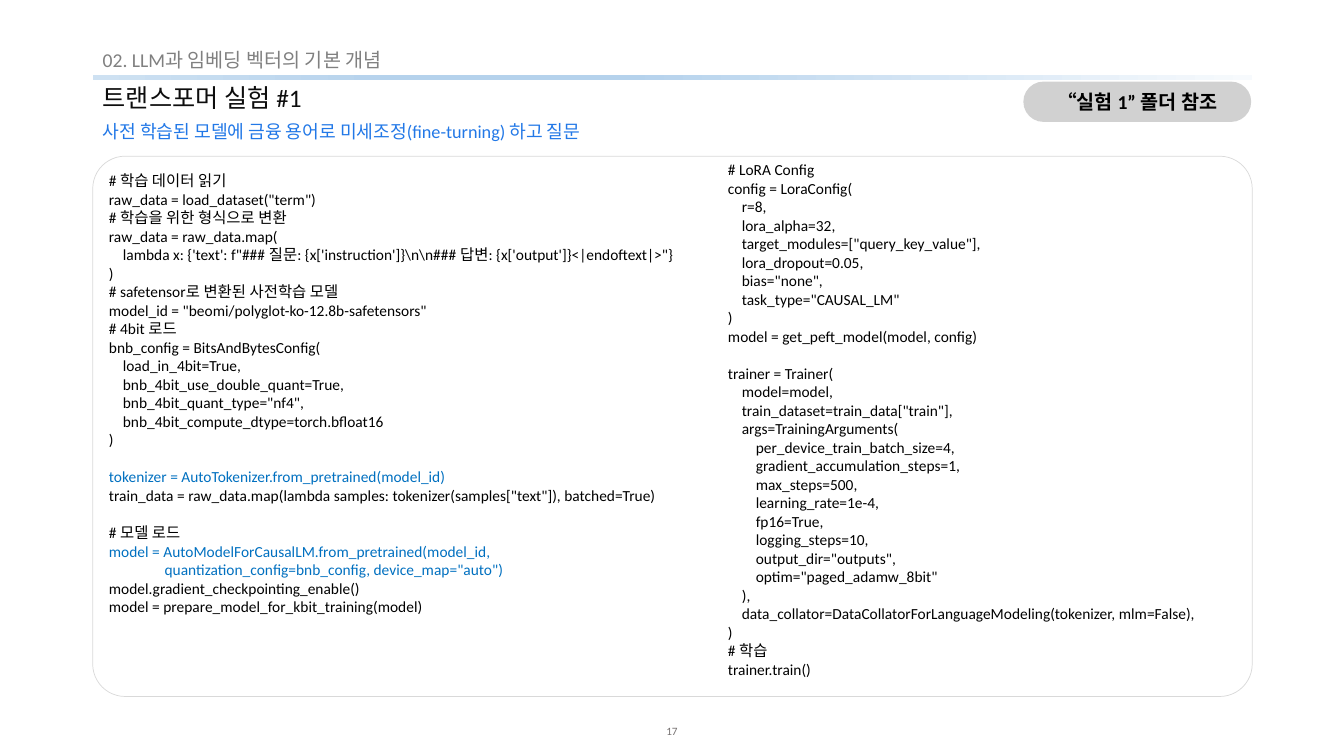
from lxml import etree
from pptx import Presentation
from pptx.dml.color import RGBColor
from pptx.enum.shapes import MSO_SHAPE
from pptx.enum.text import MSO_ANCHOR, PP_ALIGN
from pptx.oxml.ns import qn
from pptx.util import Inches, Pt

RECT, ROUNDED = MSO_SHAPE.RECTANGLE, MSO_SHAPE.ROUNDED_RECTANGLE
TOP, MIDDLE = MSO_ANCHOR.TOP, MSO_ANCHOR.MIDDLE
LEFT, CENTER = PP_ALIGN.LEFT, PP_ALIGN.CENTER

COLORS = {
    "title": "0D0D0D", "section": "808080", "subtitle": "2278E7",
    "code": "000000", "key_code": "0070C0", "page": "767171",
    "frame": "D9D9D9", "badge": "A5A5A5",
}
RULE_STOPS = [(0, "F7FAFD"), (54, "B5D2EC"), (73, "B5D2EC"), (100, "CEE1F2")]
MARGIN, CONTENT_WIDTH = 0.92, 11.5
CODE_SIZE, CODE_LINE = 11, 13.4
WIDE_INSETS = (0.1, 0.05, 0.1, 0.05)
CODE_INSETS = (0.04, 0.05, 0.04, 0.05)
KEY_LINES = ("tokenizer =", "model = AutoModel", "quantization_config")

DATA_AND_MODEL = r"""
# 학습 데이터 읽기
raw_data = load_dataset("term")
# 학습을 위한 형식으로 변환
raw_data = raw_data.map(
    lambda x: {'text': f"### 질문: {x['instruction']}\n\n### 답변: {x['output']}<|endoftext|>"}
)
# safetensor로 변환된 사전학습 모델
model_id = "beomi/polyglot-ko-12.8b-safetensors"
# 4bit 로드
bnb_config = BitsAndBytesConfig(
    load_in_4bit=True,
    bnb_4bit_use_double_quant=True,
    bnb_4bit_quant_type="nf4",
    bnb_4bit_compute_dtype=torch.bfloat16
)

tokenizer = AutoTokenizer.from_pretrained(model_id)
train_data = raw_data.map(lambda samples: tokenizer(samples["text"]), batched=True)

# 모델 로드
model = AutoModelForCausalLM.from_pretrained(model_id,
                quantization_config=bnb_config, device_map="auto")
model.gradient_checkpointing_enable()
model = prepare_model_for_kbit_training(model)
"""

LORA_AND_TRAINING = """
# LoRA Config
config = LoraConfig(
    r=8,
    lora_alpha=32,
    target_modules=["query_key_value"],
    lora_dropout=0.05,
    bias="none",
    task_type="CAUSAL_LM"
)
model = get_peft_model(model, config)

trainer = Trainer(
    model=model,
    train_dataset=train_data["train"],
    args=TrainingArguments(
        per_device_train_batch_size=4,
        gradient_accumulation_steps=1,
        max_steps=500,
        learning_rate=1e-4,
        fp16=True,
        logging_steps=10,
        output_dir="outputs",
        optim="paged_adamw_8bit"
    ),
    data_collator=DataCollatorForLanguageModeling(tokenizer, mlm=False),
)
# 학습
trainer.train()
"""


class SlideBuilder:
    font_name = "Calibri"

    def __init__(self, slide):
        self.slide = slide

    def shape(self, kind, box, fill=None, line=None, corner=None):
        shape = self.slide.shapes.add_shape(kind, *map(Inches, box))
        shape.shadow.inherit = False
        if corner is not None:
            shape.adjustments[0] = corner
        if fill:
            shape.fill.solid()
            shape.fill.fore_color.rgb = RGBColor.from_string(COLORS[fill])
        else:
            shape.fill.background()
        if line:
            shape.line.color.rgb = RGBColor.from_string(COLORS[line])
            shape.line.width = Pt(0.5)
        else:
            shape.line.fill.background()
        return shape

    def gradient_bar(self, box, stops, angle):
        bar = self.shape(RECT, box)
        bar.fill.gradient()
        bar.fill.gradient_angle = angle
        stop_list = next(bar._element.iter(qn("a:gsLst")))
        for stop in list(stop_list):
            stop_list.remove(stop)
        for percent, color in stops:
            stop = etree.SubElement(stop_list, qn("a:gs"), pos=str(percent * 1000))
            etree.SubElement(stop, qn("a:srgbClr"), val=color)

    def badge(self, box, words, size):
        badge = self.shape(ROUNDED, box, fill="badge", corner=0.5)
        color = next(badge._element.spPr.iter(qn("a:srgbClr")))
        etree.SubElement(color, qn("a:alpha"), val="50000")
        frame = self.frame(badge, CODE_INSETS, MIDDLE)
        self.add_words(frame.paragraphs[0], words, "code", size, bold=True, align=CENTER)

    def frame(self, shape, insets, anchor):
        frame = shape.text_frame
        left, top, right, bottom = map(Inches, insets)
        layout = {"word_wrap": True, "vertical_anchor": anchor,
                  "margin_left": left, "margin_top": top,
                  "margin_right": right, "margin_bottom": bottom}
        for name, value in layout.items():
            setattr(frame, name, value)
        return frame

    def add_words(self, paragraph, words, color, size, bold=False, align=LEFT):
        paragraph.alignment = align
        run = paragraph.add_run()
        run.text = words
        style = {"name": self.font_name, "size": Pt(size), "bold": bold}
        for name, value in style.items():
            setattr(run.font, name, value)
        run.font.color.rgb = RGBColor.from_string(COLORS[color])

    def text_box(self, box, insets, anchor):
        return self.frame(self.slide.shapes.add_textbox(*map(Inches, box)), insets, anchor)

    def label(self, box, words, color, size, anchor=TOP, align=LEFT,
              insets=WIDE_INSETS, spacing=0.9):
        paragraph = self.text_box(box, insets, anchor).paragraphs[0]
        paragraph.line_spacing = spacing
        self.add_words(paragraph, words, color, size, align=align)

    def code(self, box, listing):
        frame = self.text_box(box, CODE_INSETS, TOP)
        paragraph, gap = frame.paragraphs[0], 0
        for number, line in enumerate(listing.strip().splitlines()):
            if not line:
                gap = CODE_LINE
                continue
            if number:
                paragraph = frame.add_paragraph()
                paragraph.space_before = Pt(gap)
            color = "key_code" if line.strip().startswith(KEY_LINES) else "code"
            self.add_words(paragraph, line, color, CODE_SIZE)
            gap = 0


def main():
    deck = Presentation()
    deck.slide_width, deck.slide_height = Inches(13.33), Inches(7.5)
    builder = SlideBuilder(deck.slides.add_slide(deck.slide_layouts[6]))

    # Page number and header rule
    builder.label((6.47, 7.07, 0.39, 0.4), "17", "page", 8, MIDDLE, CENTER,
                  (0, 0.05, 0, 0.08), 1.0)
    builder.gradient_bar((MARGIN, 0.74, CONTENT_WIDTH, 0.05), RULE_STOPS, 180)

    # Headings
    builder.label((MARGIN, 0.8, CONTENT_WIDTH, 0.38), "트랜스포머 실험 #1",
                  "title", 18, MIDDLE)
    builder.label((MARGIN, 0.45, CONTENT_WIDTH, 0.32),
                  "02. LLM과 임베딩 벡터의 기본 개념", "section", 14)
    builder.label((MARGIN, 1.17, CONTENT_WIDTH, 0.28),
                  "사전 학습된 모델에 금융 용어로 미세조정(fine-turning) 하고 질문",
                  "subtitle", 13)

    # Code panel and folder badge
    builder.shape(ROUNDED, (MARGIN, 1.55, CONTENT_WIDTH, 5.36), line="frame", corner=0.06)
    builder.badge((10.15, 0.81, 2.26, 0.4), "“실험 1” 폴더 참조", 14)

    # Code columns
    builder.code((1.04, 1.65, 5.85, 4.54), DATA_AND_MODEL)
    builder.code((7.18, 1.54, 4.96, 5.47), LORA_AND_TRAINING)

    deck.save("out.pptx")


if __name__ == "__main__":
    main()
